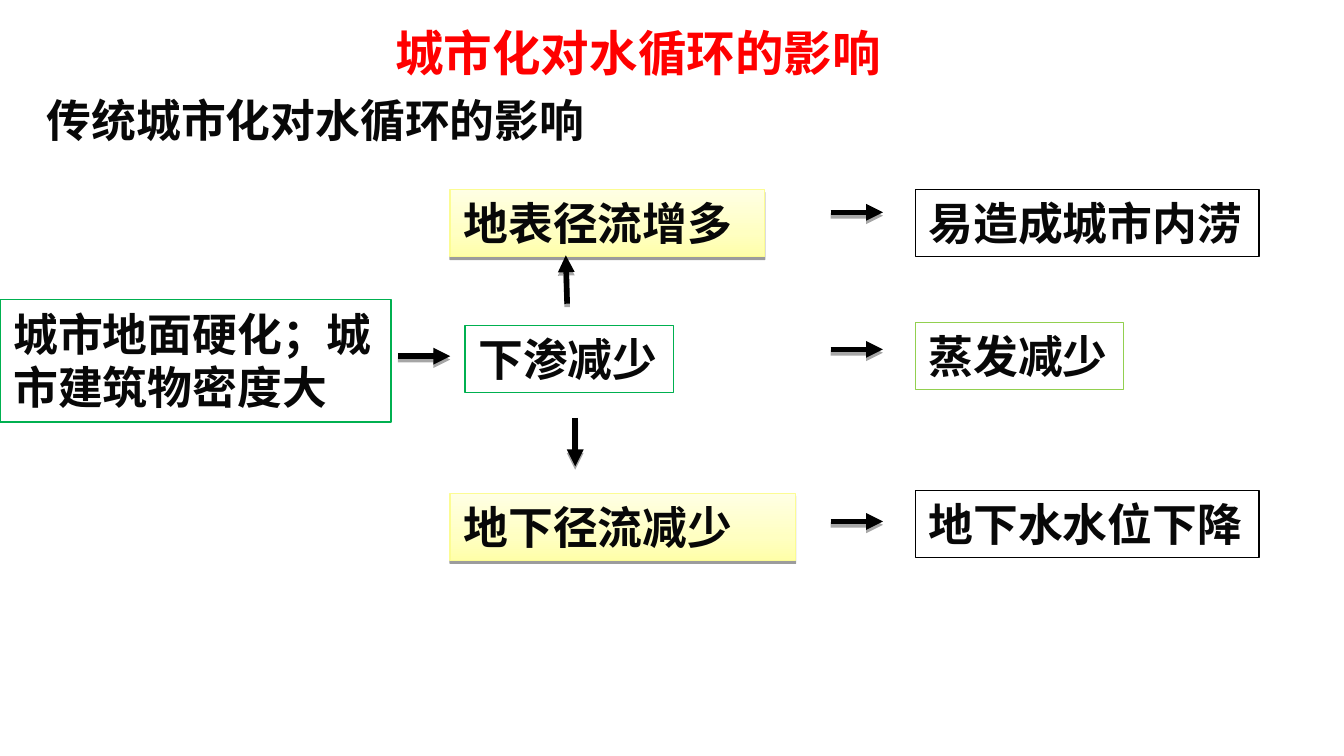
from copy import deepcopy
from lxml.etree import SubElement
from pptx import Presentation
from pptx.dml.color import RGBColor
from pptx.enum.shapes import MSO_CONNECTOR as Link, MSO_SHAPE as Shape
from pptx.enum.text import MSO_ANCHOR as Anchor, MSO_AUTO_SIZE as Fit, PP_ALIGN as Align
from pptx.oxml.ns import qn
from pptx.util import Inches, Pt

BLACK = RGBColor(0, 0, 0)
INK = RGBColor(0x08, 0x08, 0x08)
RED = RGBColor(0xFF, 0, 0)
GREEN = RGBColor(0, 0xB0, 0x50)
LIME = RGBColor(0x92, 0xD0, 0x50)
YELLOW = RGBColor(0xFC, 0xFC, 0x93)
DEEP = RGBColor(0xFF, 0xFF, 0xA9)
MID = RGBColor(0xFF, 0xFF, 0xC2)
PALE = RGBColor(0xFF, 0xFF, 0xE4)
SANS = "Noto Sans CJK SC"
BODY = "Calibri"


def write(shape, text, size=24, face=BODY, color=INK, align=Align.LEFT, wrap=False):
    frame = shape.text_frame
    frame.text = text
    frame.word_wrap = wrap
    frame.auto_size = Fit.SHAPE_TO_FIT_TEXT
    frame.vertical_anchor = Anchor.TOP
    para = frame.paragraphs[0]
    para.alignment = align
    font = para.runs[0].font
    font.name, font.size, font.bold = face, Pt(size), True
    font.color.rgb = color
    SubElement(para.runs[0]._r.get_or_add_rPr(), qn("a:ea"), typeface=SANS)


def shade(item, alpha, drop):
    props = item._element.spPr
    effects = props.find(qn("a:effectLst"))
    if effects is None:
        effects = SubElement(props, qn("a:effectLst"))
    outer = SubElement(effects, qn("a:outerShdw"), blurRad="0", dist=str(Pt(drop)),
                       dir="5400000", rotWithShape="0")
    tint = SubElement(outer, qn("a:srgbClr"), val=str(BLACK))
    SubElement(tint, qn("a:alpha"), val=str(alpha * 1000))


def glow(box):
    fill = box.fill
    fill.gradient()
    fill.gradient_angle = 90
    stops = box._element.spPr.find(qn("a:gradFill")).find(qn("a:gsLst"))
    stops.insert(1, deepcopy(stops[0]))
    for stop, place, color in zip(fill.gradient_stops, (0, 0.35, 1), (DEEP, MID, PALE)):
        stop.position = place
        stop.color.rgb = color


def add_box(slide, left, top, width, height, text, edge, wrap=False, warm=False):
    box = slide.shapes.add_shape(Shape.RECTANGLE, Inches(left), Inches(top),
                                 Inches(width), Inches(height))
    box.shadow.inherit = False
    box.line.color.rgb = edge
    box.line.width = Pt(0.75)
    if warm:
        glow(box)
        shade(box, 38, 1.6)
    else:
        box.fill.background()
    write(box, text, wrap=wrap)


def add_arrow(slide, *ends):
    arrow = slide.shapes.add_connector(Link.STRAIGHT, *map(Inches, ends))
    arrow.line.color.rgb = BLACK
    arrow.line.width = Pt(3)
    SubElement(arrow.line._get_or_add_ln(), qn("a:tailEnd"), type="triangle")
    shade(arrow, 35, 1.8)


def add_head(slide, left, top):
    title = slide.shapes.add_textbox(Inches(left + 0.66), Inches(top), Inches(7.68), Inches(0.54))
    write(title, "城市化对水循环的影响", 26, SANS, RED, Align.CENTER, True)
    topic = slide.shapes.add_textbox(Inches(left), Inches(top + 0.52), Inches(4.24), Inches(0.5))
    write(topic, "传统城市化对水循环的影响", face=SANS)


def add_flow(slide, left, top):
    mid, end = left + 3.35, left + 6.81
    add_box(slide, left, top + 0.82, 2.91, 0.91, "城市地面硬化；城市建筑物密度大", GREEN, wrap=True)
    for drop, width, text in ((0, 2.34, "地表径流增多"), (2.26, 2.57, "地下径流减少")):
        add_box(slide, mid, top + drop, width, 0.5, text, YELLOW, wrap=True, warm=True)
    for drop, text in ((0, "易造成城市内涝"), (2.24, "地下水水位下降")):
        add_box(slide, end, top + drop, 2.56, 0.5, text, BLACK)
    add_box(slide, mid + 0.11, top + 1.01, 1.55, 0.5, "下渗减少", GREEN)
    add_box(slide, end, top + 0.99, 1.55, 0.5, "蒸发减少", LIME)
    for x, drop in ((2.96, 1.24), (6.18, 0.17), (6.18, 2.47), (6.18, 1.19)):
        add_arrow(slide, left + x, top + drop, left + x + 0.39, top + drop)
    add_arrow(slide, mid + 0.87, top + 0.85, mid + 0.86, top + 0.49)
    add_arrow(slide, mid + 0.93, top + 1.7, mid + 0.93, top + 2.06)


def main():
    deck = Presentation()
    deck.slide_width = Inches(10)
    deck.slide_height = Inches(10) * 9 // 16
    slide = deck.slides.add_slide(deck.slide_layouts[6])
    add_head(slide, 0.25, 0.12)
    add_flow(slide, 0, 1.41)
    deck.save("out.pptx")


if __name__ == "__main__":
    main()
